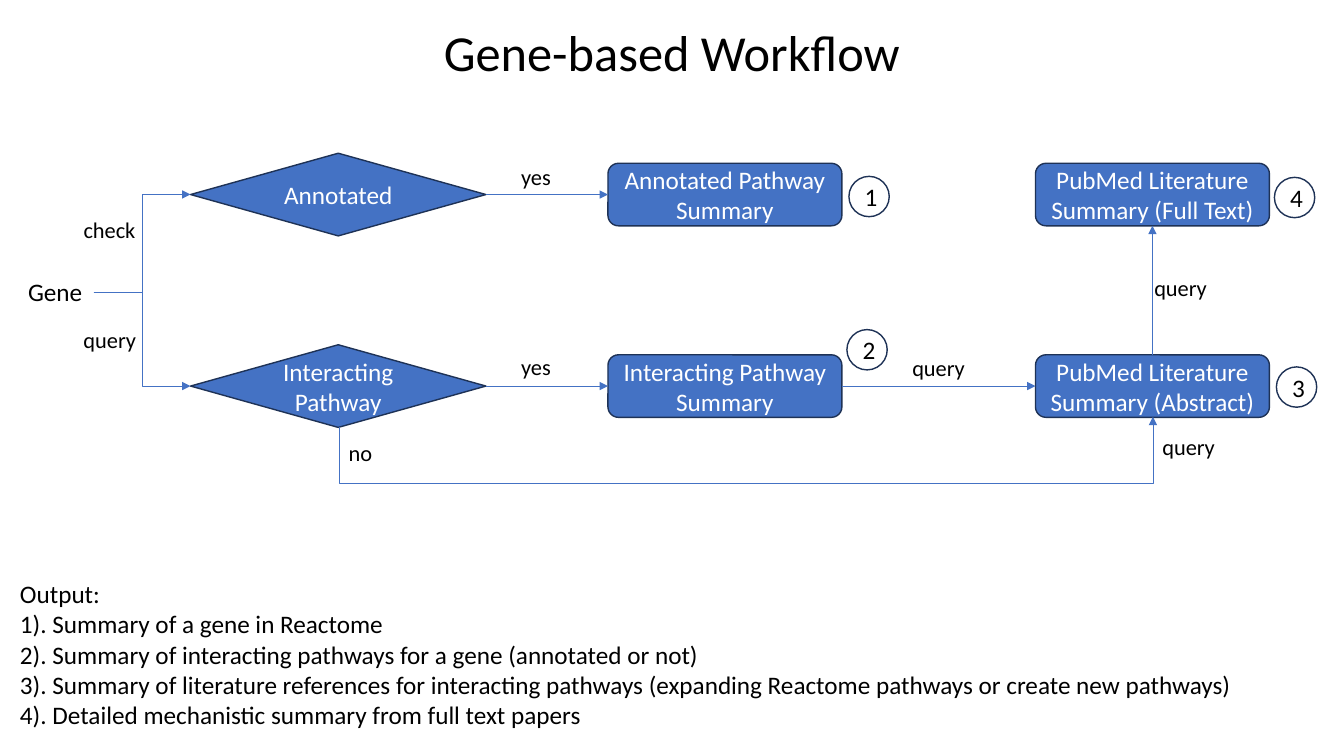
from typing import NamedTuple, Optional

from lxml.etree import SubElement
from pptx import Presentation
from pptx.dml.color import RGBColor
from pptx.enum.shapes import MSO_CONNECTOR, MSO_SHAPE
from pptx.enum.text import MSO_ANCHOR, MSO_AUTO_SIZE, PP_ALIGN
from pptx.oxml.ns import qn
from pptx.util import Inches, Pt

BLUE = RGBColor(0x44, 0x72, 0xC4)
NAVY = RGBColor(0x1E, 0x32, 0x56)
BLACK = RGBColor(0, 0, 0)
WHITE = RGBColor(255, 255, 255)
TOP, LEFT, BOTTOM, RIGHT = range(4)
ROWS = (1.93, 3.83)  # centre lines of the two branches


class Node(NamedTuple):
    key: str
    text: str
    kind: MSO_SHAPE
    left: float
    mid: float
    width: float
    height: float
    fill: Optional[RGBColor] = BLUE
    color: RGBColor = WHITE


class Link(NamedTuple):
    start: str
    exit: int
    end: str
    entry: int


class Label(NamedTuple):
    text: str
    left: float
    top: float
    width: float
    height: float = 0.37
    size: int = 16


def step(key: str, text: str, left: float, row: int) -> Node:
    return Node(key, text, MSO_SHAPE.ROUNDED_RECTANGLE, left, ROWS[row], 2.32, 0.62)


def choice(key: str, text: str, row: int) -> Node:
    return Node(key, text, MSO_SHAPE.DIAMOND, 1.89, ROWS[row], 2.93, 0.82)


def badge(text: str, left: float, mid: float) -> Node:
    return Node(text, text, MSO_SHAPE.OVAL, left, mid, 0.4, 0.4, None, BLACK)


NODES = [
    choice("known", "Annotated", 0),
    step("direct", "Annotated Pathway Summary", 6.03, 0),
    step("inter", "Interacting Pathway Summary", 6.03, 1),
    step("brief", "PubMed Literature Summary (Abstract)", 10.27, 1),
    step("full", "PubMed Literature Summary (Full Text)", 10.27, 0),
    choice("linked", "Interacting Pathway", 1),
    badge("1", 8.42, 1.95),
    badge("2", 8.4, 3.47),
    badge("3", 12.66, 3.84),
    badge("4", 12.64, 1.96),
]
LINKS = [
    Link("known", RIGHT, "direct", LEFT),
    Link("linked", RIGHT, "inter", LEFT),
    Link("inter", RIGHT, "brief", LEFT),
    Link("brief", TOP, "full", BOTTOM),
]
LABELS = [
    Label("Gene", 0.18, 2.69, 0.75, 0.4, 18),
    Label("check", 0.73, 2.1, 0.72),
    Label("query", 0.73, 3.19, 0.73),
    Label("yes", 5.07, 1.57, 0.5),
    Label("yes", 5.07, 3.45, 0.5),
    Label("no", 3.36, 4.31, 0.44),
    Label("query", 8.95, 3.46, 0.73),
    Label("query", 11.35, 2.67, 0.73),
    Label("query", 11.43, 4.25, 0.73),
]
OUTPUT = """Output:
1). Summary of a gene in Reactome
2). Summary of interacting pathways for a gene (annotated or not)
3). Summary of literature references for interacting pathways (expanding Reactome pathways or create new pathways)
4). Detailed mechanistic summary from full text papers"""


def write(shape, text: str, *, size: int = 18, color: RGBColor = BLACK,
          align=PP_ALIGN.LEFT, anchor=MSO_ANCHOR.TOP, wrap: bool = True,
          grow: bool = True) -> None:
    frame = shape.text_frame
    frame.text = text
    frame.word_wrap = wrap
    frame.vertical_anchor = anchor
    frame.auto_size = MSO_AUTO_SIZE.SHAPE_TO_FIT_TEXT if grow else MSO_AUTO_SIZE.NONE
    for para in frame.paragraphs:
        para.alignment = align
        para.font.name = "Calibri"
        para.font.size = Pt(size)
        para.font.color.rgb = color


def add_box(slide, left: float, top: float, width: float, height: float):
    return slide.shapes.add_textbox(Inches(left), Inches(top), Inches(width), Inches(height))


def add_node(slide, node: Node):
    shape = slide.shapes.add_shape(
        node.kind, Inches(node.left), Inches(node.mid - node.height / 2),
        Inches(node.width), Inches(node.height))
    shape.shadow.inherit = False
    if node.fill is None:
        shape.fill.background()
    else:
        shape.fill.solid()
        shape.fill.fore_color.rgb = node.fill
    shape.line.color.rgb = NAVY
    shape.line.width = Pt(1)
    write(shape, node.text, color=node.color, align=PP_ALIGN.CENTER,
          anchor=MSO_ANCHOR.MIDDLE, grow=False)
    return shape


def add_arrow(slide, kind, x1: float, y1: float, x2: float, y2: float):
    arrow = slide.shapes.add_connector(kind, Inches(x1), Inches(y1), Inches(x2), Inches(y2))
    arrow.line.color.rgb = BLUE
    arrow.line.width = Pt(0.5)
    props = arrow._element.spPr
    SubElement(props.find(qn("a:ln")), qn("a:tailEnd"), type="triangle")
    SubElement(props, qn("a:effectLst"))
    return arrow


def main() -> None:
    deck = Presentation()
    deck.slide_width, deck.slide_height = Inches(13.33), Inches(7.5)
    slide = deck.slides.add_slide(deck.slide_layouts[6])

    # Title
    write(add_box(slide, 0, 0.16, 13.33, 0.71), "Gene-based Workflow",
          size=36, align=PP_ALIGN.CENTER)

    # Steps, choices and numbered badges
    shapes = {node.key: add_node(slide, node) for node in NODES}

    # Straight arrows between steps
    for link in LINKS:
        arrow = add_arrow(slide, MSO_CONNECTOR.STRAIGHT, 0, 0, 1, 1)
        arrow.begin_connect(shapes[link.start], link.exit)
        arrow.end_connect(shapes[link.end], link.entry)

    # Fork from the gene to both choices
    for mid in ROWS:
        add_arrow(slide, MSO_CONNECTOR.ELBOW, 0.93, 2.9, 1.89, mid)

    # "No" branch: an elbow turned a quarter, its bend below both ends
    bend = add_arrow(slide, MSO_CONNECTOR.ELBOW, 7.45, 8.22, 7.35, 0.15)
    props = bend._element.spPr
    props.find(qn("a:xfrm")).set("rot", "5400000")
    SubElement(props.find(qn("a:prstGeom")).find(qn("a:avLst")), qn("a:gd"),
               name="adj1", fmla="val -562500")

    # Labels
    for item in LABELS:
        box = add_box(slide, item.left, item.top, item.width, item.height)
        write(box, item.text, size=item.size, wrap=False)

    # Output list
    write(add_box(slide, 0.1, 5.69, 13.13, 1.62), OUTPUT)

    deck.save("out.pptx")


if __name__ == "__main__":
    main()
